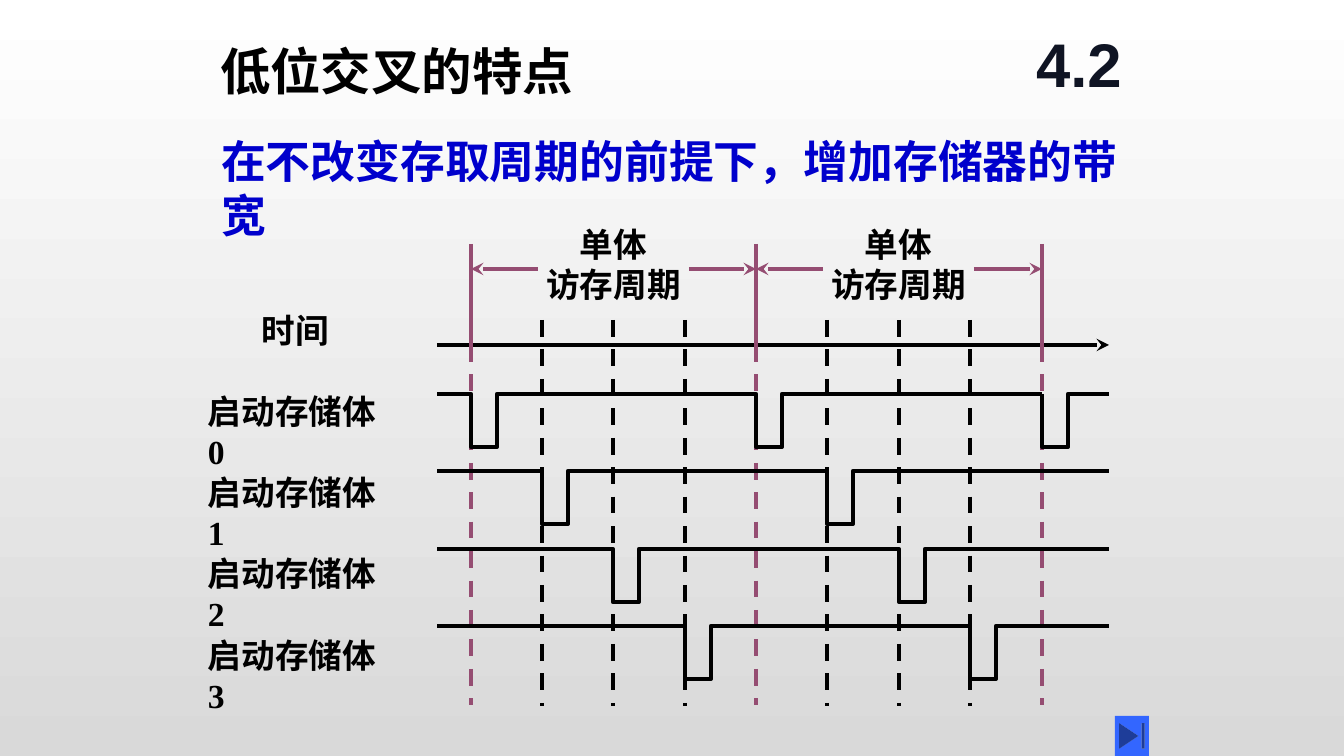
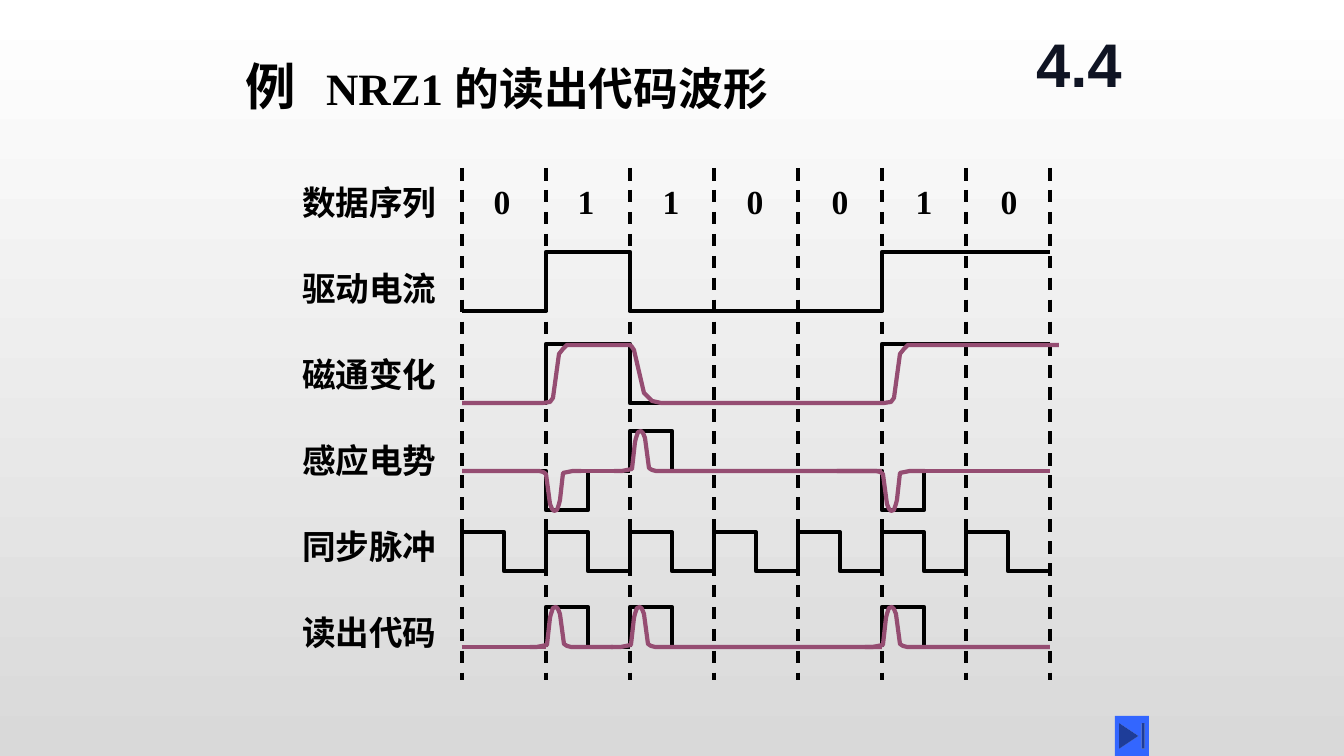
"""Build two timing-diagram slides: interleaved memory banks and NRZ1 read-out waveforms."""
from dataclasses import dataclass

import pptx
import pptx.dml.color
import pptx.enum.dml
import pptx.enum.shapes
import pptx.enum.text
import pptx.oxml
import pptx.oxml.ns
import pptx.util

RGBColor = pptx.dml.color.RGBColor
BLACK = RGBColor(0x00, 0x00, 0x00)
WHITE = RGBColor(0xFF, 0xFF, 0xFF)
GREY = RGBColor(0xD9, 0xD9, 0xD9)
NAVY = RGBColor(0x0F, 0x14, 0x23)
BLUE = RGBColor(0x00, 0x00, 0xCC)
BUTTON_BLUE = RGBColor(0x33, 0x66, 0xFF)
PURPLE = RGBColor(0x95, 0x4D, 0x72)

WIDTH, HEIGHT = 1344, 756
SCALE = 12192000 / WIDTH
ALIGN = pptx.enum.text.PP_ALIGN
ANCHOR = pptx.enum.text.MSO_ANCHOR

Point = tuple[int, int]


@dataclass(frozen=True)
class Box:
    left: int
    top: int
    width: int
    height: int


@dataclass(frozen=True)
class Style:
    size: int
    color: RGBColor = BLACK
    font: str = "Times New Roman"


@dataclass(frozen=True)
class Rule:
    start: Point
    end: Point
    color: RGBColor = BLACK
    width: float = 3
    dashed: bool = False
    arrow: bool = False


@dataclass(frozen=True)
class Trace:
    points: list[Point]
    color: RGBColor = BLACK


TITLE = Style(36)
STATEMENT = Style(32, BLUE)
LABEL = Style(24)
SECTION = Style(44, NAVY, "Arial")

BUMP = [(-9, 0), (1, 2), (4, 29), (5, 33), (7, 39), (10, 40),
        (12, 38), (14, 33), (18, 3), (21, 1), (25, 0)]
DIP = [(18 - dx, -rise) for dx, rise in reversed(BUMP)]
RISE = [(-3, 0), (4, 1), (7, 5), (13, 49), (17, 54), (21, 58)]
FALL = [(0, 58), (2, 56), (4, 53), (14, 10), (18, 6), (22, 2), (31, 0)]


def px(n: int) -> int:
    """Turn pixels into EMU."""
    return round(n * SCALE)


def place(sp, box: Box) -> None:
    """Set the position and size of a shape."""
    sp.left, sp.top = px(box.left), px(box.top)
    sp.width, sp.height = px(box.width), px(box.height)


def set_font(p, style: Style) -> None:
    """Give a paragraph its bold font."""
    p.font.size = pptx.util.Pt(style.size)
    p.font.name = style.font
    p.font.bold = True
    p.font.color.rgb = style.color


def add_text(slide, box: Box, lines: list[str], style: Style, align=ALIGN.LEFT, anchor=ANCHOR.TOP):
    """Add a text box without side insets, one paragraph a line."""
    sp = slide.shapes.add_textbox(0, 0, 0, 0)
    place(sp, box)
    tf = sp.text_frame
    tf.word_wrap = True
    tf.margin_left = tf.margin_right = 0
    tf.vertical_anchor = anchor
    for i, line in enumerate(lines):
        p = tf.add_paragraph() if i else tf.paragraphs[0]
        p.text = line
        p.alignment = align
        set_font(p, style)
    return sp


def add_rule(slide, rule: Rule):
    """Draw a straight line, dashed or with an arrowhead if asked."""
    sp = slide.shapes.add_connector(
        pptx.enum.shapes.MSO_CONNECTOR.STRAIGHT, *map(px, rule.start + rule.end))
    sp.line.color.rgb = rule.color
    sp.line.width = pptx.util.Pt(rule.width)
    if rule.dashed:
        sp.line.dash_style = pptx.enum.dml.MSO_LINE.DASH
    sp_pr = sp.element.spPr
    if rule.arrow:
        ln = sp_pr.find(pptx.oxml.ns.qn("a:ln"))
        ln.append(pptx.oxml.parse_xml(
            f'<a:tailEnd {pptx.oxml.ns.nsdecls("a")} type="stealth"/>'))
    sp_pr.append(pptx.oxml.parse_xml(f'<a:effectLst {pptx.oxml.ns.nsdecls("a")}/>'))
    return sp


def add_trace(slide, trace: Trace) -> None:
    """Draw an open outline through the points."""
    builder = slide.shapes.build_freeform(*trace.points[0], scale=SCALE)
    builder.add_line_segments(trace.points[1:], close=False)
    sp = builder.convert_to_shape()
    sp.fill.background()
    sp.line.color.rgb = trace.color
    sp.line.width = pptx.util.Pt(3)
    sp.shadow.inherit = False


def square_wave(left: int, right: int, base: int, pulses: list[Point], width: int) -> list[Point]:
    """Return a flat line with a square pulse at each (x, level)."""
    points = [(left, base)]
    for x, level in pulses:
        points += [(x, base), (x, level), (x + width, level), (x + width, base)]
    return points + [(right, base)]


def shifted(curve: list[Point], x: int, base: int) -> list[Point]:
    """Return a curve of (offset, rise) placed at x on a base line."""
    return [(x + dx, base - rise) for dx, rise in curve]


def add_slide(prs, section: str, title_box: Box):
    """Add a slide with section number and end button; return it with its title paragraph."""
    slide = prs.slides.add_slide(prs.slide_layouts[5])
    place(slide.shapes.title, title_box)
    tf = slide.shapes.title.text_frame
    tf.word_wrap = True
    tf.auto_size = pptx.enum.text.MSO_AUTO_SIZE.NONE
    tf.vertical_anchor = ANCHOR.TOP
    p = tf.paragraphs[0]
    p.alignment = ALIGN.LEFT
    add_text(slide, Box(1016, 16, 126, 93), [section], SECTION, ALIGN.CENTER, ANCHOR.MIDDLE)
    button = slide.shapes.add_shape(pptx.enum.shapes.MSO_SHAPE.ACTION_BUTTON_END, 0, 0, 0, 0)
    place(button, Box(1115, 716, 34, 40))
    button.fill.solid()
    button.fill.fore_color.rgb = BUTTON_BLUE
    button.line.fill.background()
    button.shadow.inherit = False
    return slide, p


def build_interleaving(prs) -> None:
    """Build the slide on low-order interleaving."""
    slide, p = add_slide(prs, "4.2", Box(210, 35, 390, 72))
    p.text = "低位交叉的特点"
    set_font(p, TITLE)
    add_text(slide, Box(221, 129, 930, 65),
             ["在不改变存取周期的前提下，增加存储器的带宽"], STATEMENT)

    slots = [471 + 571 * k // 8 for k in range(9)]
    cycle_marks = slots[::4]
    for x in slots:
        if x in cycle_marks:
            add_rule(slide, Rule((x, 345), (x, 705), PURPLE, dashed=True))
        else:
            add_rule(slide, Rule((x, 320), (x, 706), dashed=True))

    add_text(slide, Box(262, 305, 70, 50), ["时间"], LABEL)
    add_rule(slide, Rule((437, 345), (1109, 345), arrow=True))
    for bank in range(4):
        add_text(slide, Box(208, 386 + 244 * bank // 3, 180, 50), [f"启动存储体 {bank}"], LABEL)
        high = 394 + 155 * bank // 2
        pulses = [(x, high + 53) for x in slots[bank:8:4]]
        end = 1109 if bank else slots[-1]
        add_trace(slide, Trace(square_wave(437, end, high, pulses, 26)))
    add_trace(slide, Trace(square_wave(slots[-1], 1109, 394, [(slots[-1], 447)], 26)))

    for start, end in zip(cycle_marks, cycle_marks[1:]):
        box = Box(start + 67, 219, 151, 100)
        label = add_text(slide, box, ["单体", "访存周期"], LABEL, ALIGN.CENTER)
        for side, edge, mark in ((1, box.left, start), (3, box.left + box.width, end)):
            arrow = add_rule(slide, Rule((edge, 269), (mark, 269), PURPLE, arrow=True))
            arrow.begin_connect(label, side)
    for x in cycle_marks:
        add_rule(slide, Rule((x, 244), (x, 353), PURPLE))


def build_nrz1(prs) -> None:
    """Build the slide with the NRZ1 waveforms."""
    slide, p = add_slide(prs, "4.4", Box(235, 50, 630, 72))
    p._p.get_or_add_pPr().append(pptx.oxml.parse_xml(
        f'<a:tabLst {pptx.oxml.ns.nsdecls("a")}><a:tab pos="{px(81)}" algn="l"/></a:tabLst>'))
    set_font(p, TITLE)
    p.add_run().text = "例"
    r = p.add_run()
    r.text = "\tNRZ1 的读出代码波形"
    r.font.size = pptx.util.Pt(32)

    columns = [462 + 84 * k for k in range(8)]
    left, right = columns[0], columns[-1]
    for x in columns:
        add_rule(slide, Rule((x, 168), (x, 680), width=2.25, dashed=True))
    for k, bit in enumerate("0110010"):
        add_text(slide, Box(483 + 169 * k // 2, 176, 38, 50), [bit], LABEL, ALIGN.CENTER)
    rows = ["数据序列", "驱动电流", "磁通变化", "感应电势", "同步脉冲", "读出代码"]
    for i, name in enumerate(rows):
        add_text(slide, Box(302, 177 + 86 * i, 138, 50), [name], LABEL)

    first, second, third = columns[1], columns[2], columns[5]
    emf, sync, code = 471, 571, 647
    for low in (311, 403):
        high = low - 59
        add_trace(slide, Trace([
            (left, low), (first, low), (first, high), (second, high),
            (second, low), (third, low), (third, high), (right, high)]))

    half = 42
    pulses = [(x, end, x, sync, -39) for x, end in zip(columns, columns[1:])]
    pulses += [(x, end, x, code, -40)
               for x, end in ((first, second), (second, third), (third, right))]
    pulses += [(left, first + half, first, emf, 39),
               (second, third - half, second, emf, -40),
               (third - half, third + half, third, emf, 39)]
    for start, end, x, base, drop in pulses:
        add_trace(slide, Trace(square_wave(start, end, base, [(x, base + drop)], half)))

    for start, end, base, color in (
        (first + half, second, emf, BLACK),
        (third + half, right, emf, BLACK),
        (left, first, code, BLACK),
        (left, first, code, PURPLE),
        (581, 614, emf, PURPLE),
        (925, right, emf, PURPLE),
    ):
        add_rule(slide, Rule((start, base), (end, base), color))

    flux = (shifted(RISE, first, 403) + shifted(FALL, second, 403)
            + shifted(RISE, third + 5, 403))
    add_trace(slide, Trace([(left, 403), *flux, (1059, 345)], PURPLE))
    for start, end, curve, x, base in (
        (530, 613, BUMP, first, code),
        (611, third, BUMP, second, code),
        (865, right, BUMP, third, code),
        (left, 581, DIP, first, emf),
        (614, third, BUMP, second + 1, emf),
        (837, 925, DIP, third + 1, emf),
    ):
        add_trace(slide, Trace([(start, base), *shifted(curve, x, base), (end, base)], PURPLE))


def main() -> None:
    """Create and save the presentation."""
    prs = pptx.Presentation()
    prs.slide_width, prs.slide_height = px(WIDTH), px(HEIGHT)
    fill = prs.slide_master.background.fill
    fill.gradient()
    fill.gradient_angle = 270
    for stop, color, position in zip(fill.gradient_stops, (WHITE, GREY), (0, 1)):
        stop.color.rgb = color
        stop.position = position
    build_interleaving(prs)
    build_nrz1(prs)
    prs.save("out.pptx")


if __name__ == "__main__":
    main()
